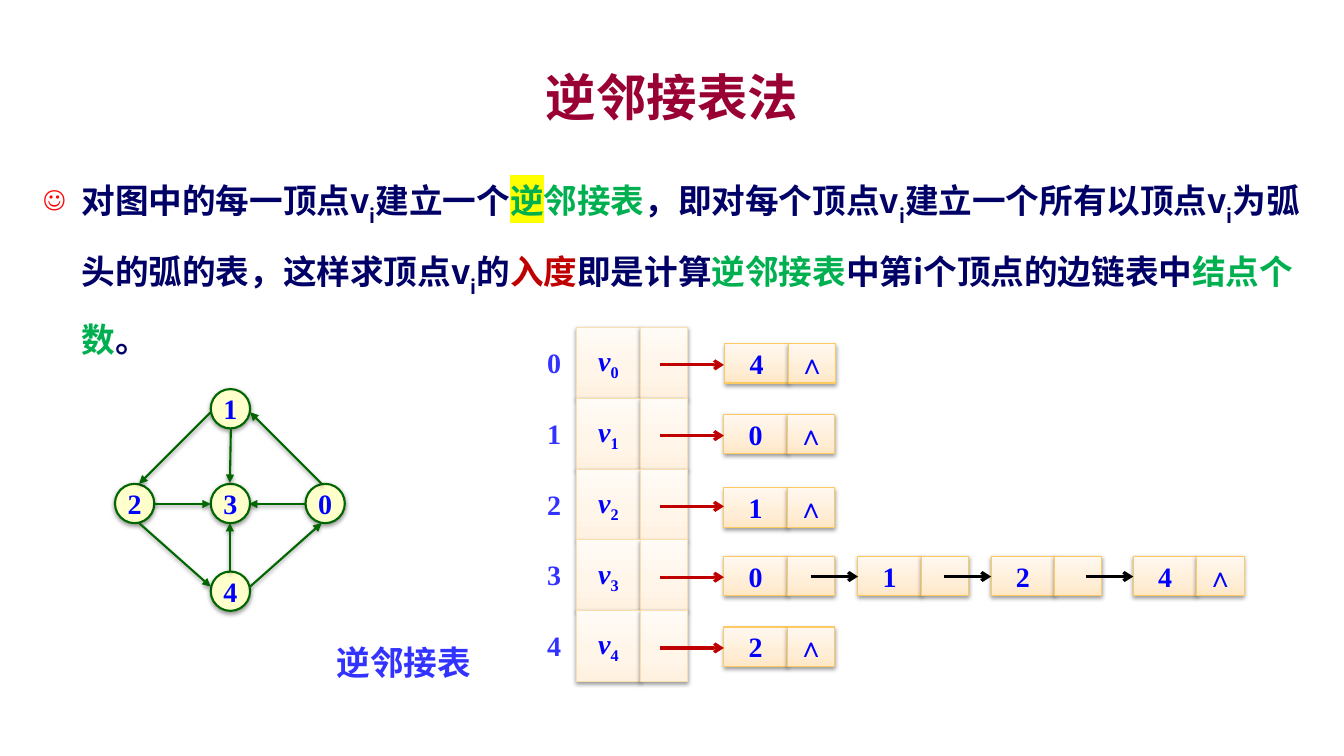
from copy import deepcopy
from dataclasses import dataclass

from lxml import etree
from pptx import Presentation
from pptx.dml.color import RGBColor
from pptx.enum.shapes import MSO_CONNECTOR, MSO_SHAPE
from pptx.enum.text import MSO_ANCHOR, PP_ALIGN
from pptx.oxml.ns import qn
from pptx.util import Inches, Pt

RECT, OVAL = MSO_SHAPE.RECTANGLE, MSO_SHAPE.OVAL
STRAIGHT = MSO_CONNECTOR.STRAIGHT
CENTER, MIDDLE = PP_ALIGN.CENTER, MSO_ANCHOR.MIDDLE
CJK, SERIF = "Noto Sans CJK SC", "Times New Roman"
COLORS = {
    "title": "990033", "body": "000066", "term": "00B050", "degree": "C00000",
    "marker": "FFFF00", "bullet": "FF0000", "label": "3333FF", "value": "0000FF",
    "link": "000000", "edge": "006600", "vertex": "FFFFCC", "shadow": "000000",
    "node_line": "FDC960", "head_line": "FBDDB2",
}
NODE_GRADIENT = ("FFE7C6", "FFEED7", "FFF8F0")
HEAD_GRADIENT = ("FFF1DF", "FFF5E8", "FFFBF6")
GRADIENT_POSITIONS = (0, 0.35, 1)
DATA_W, POINTER_W, NODE_H = 0.63, 0.47, 0.39
HEAD_LEFT, HEAD_TOP, HEAD_H = 5.72, 3.25, 3.51 / 5
VERTEX_SIZE = 0.39


@dataclass
class Piece:
    text: str
    color: str = "body"
    baseline: int = 0
    highlight: str = ""
    italic: bool = False


@dataclass
class Chain:
    top: float
    lefts: tuple
    values: str


@dataclass
class Vertex:
    label: str
    left: float
    top: float


@dataclass
class Edge:
    start: tuple
    end: tuple


SUB_I = Piece("i", baseline=-30)
DEFINITION = [
    Piece("对图中的每一顶点v"), SUB_I, Piece("建立一个"),
    Piece("逆", "term", highlight="marker"), Piece("邻接表", "term"),
    Piece("，即对每个顶点v"), SUB_I, Piece("建立一个所有以顶点v"), SUB_I,
    Piece("为弧头的弧的表，这样求顶点v"), SUB_I, Piece("的"),
    Piece("入度", "degree"), Piece("即是计算"), Piece("逆邻接表", "term"),
    Piece("中第i个顶点的边链表中"), Piece("结点个数", "term"), Piece("。"),
]
CHAINS = [
    Chain(3.41, (7.19,), "4"),
    Chain(4.11, (7.18,), "0"),
    Chain(4.84, (7.18,), "1"),
    Chain(5.52, (7.18, 8.51, 9.83, 11.24), "0124"),
    Chain(6.22, (7.18,), "2"),
]
VERTICES = [
    Vertex("1", 2.09, 3.86), Vertex("3", 2.09, 4.8), Vertex("2", 1.14, 4.8),
    Vertex("0", 3.03, 4.8), Vertex("4", 2.09, 5.67),
]
EDGES = [
    Edge((2.09, 4.09), (1.38, 4.8)), Edge((3.19, 4.8), (2.48, 4.09)),
    Edge((1.53, 5), (2.09, 5)), Edge((3.03, 5), (2.47, 5)),
    Edge((2.29, 4.25), (2.28, 4.79)), Edge((1.38, 5.19), (2.09, 5.82)),
    Edge((2.28, 5.67), (2.28, 5.19)), Edge((2.48, 5.82), (3.19, 5.19)),
]


def rgb(name: str) -> RGBColor:
    return RGBColor.from_string(COLORS[name])


def sub(parent, tag: str, **attributes: str):
    return etree.SubElement(parent, qn(tag), attributes)


def add_pieces(paragraph, pieces: list, size: int, font: str) -> None:
    for piece in pieces:
        run = paragraph.add_run()
        run.text = piece.text
        run.font.size, run.font.bold = Pt(size), True
        run.font.italic = piece.italic
        run.font.name = font
        run.font.color.rgb = rgb(piece.color)
        properties = run.font.color.rgb and run._r.get_or_add_rPr()
        sub(properties, "a:ea", typeface=font)
        if piece.baseline:
            properties.set("baseline", str(piece.baseline * 1000))
        if piece.highlight:
            mark = etree.Element(qn("a:highlight"))
            sub(mark, "a:srgbClr", val=COLORS[piece.highlight])
            properties.find(qn("a:solidFill")).addnext(mark)


def add_soft_shadow(effects) -> None:
    shadow = sub(effects, "a:outerShdw", blurRad=str(Pt(3.1)), dist=str(Pt(1.6)),
                 dir="5400000", rotWithShape="0")
    tint = sub(shadow, "a:srgbClr", val=COLORS["shadow"])
    sub(tint, "a:alpha", val="38000")


def add_cell(group, kind, box: tuple, line: str, weight: float, pieces: list):
    cell = group.shapes.add_shape(kind, *map(Inches, box))
    cell.shadow.inherit = False
    add_soft_shadow(cell._element.spPr.find(qn("a:effectLst")))
    cell.line.color.rgb, cell.line.width = rgb(line), Pt(weight)
    cell.text_frame.word_wrap = False
    cell.text_frame.vertical_anchor = MIDDLE
    paragraph = cell.text_frame.paragraphs[0]
    paragraph.alignment = CENTER
    add_pieces(paragraph, pieces, 20, SERIF)
    return cell


def add_box(group, box: tuple, gradient: tuple, line: str, pieces: list) -> None:
    cell = add_cell(group, RECT, box, line, 0.75, pieces)
    cell.fill.gradient()
    cell.fill.gradient_angle = 90
    stops = cell._element.spPr.find(".//" + qn("a:gsLst"))
    stops.append(deepcopy(stops[-1]))
    for stop, position, color in zip(cell.fill.gradient_stops, GRADIENT_POSITIONS, gradient):
        stop.position = position
        stop.color.rgb = RGBColor.from_string(color)


def add_arrow(group, edge: Edge, color: str, weight: float, head: str, shadow: bool) -> None:
    points = map(Inches, (*edge.start, *edge.end))
    arrow = group.shapes.add_connector(STRAIGHT, *points)
    arrow.line.color.rgb, arrow.line.width = rgb(color), Pt(weight)
    sub(arrow.line._get_or_add_ln(), "a:tailEnd", type=head)
    effects = sub(arrow._element.spPr, "a:effectLst")
    if shadow:
        add_soft_shadow(effects)


def add_text(parent, box: tuple, pieces: list, size: int, font: str):
    frame = parent.shapes.add_textbox(*map(Inches, box)).text_frame
    frame.word_wrap = True
    add_pieces(frame.paragraphs[0], pieces, size, font)
    return frame


def add_definition(slide) -> None:
    frame = add_text(slide, (0.33, 1.5, 12.67, 1.92), DEFINITION, 24, CJK)
    paragraph = frame.paragraphs[0]
    properties = paragraph._p.get_or_add_pPr()
    properties.set("marL", str(Inches(0.38)))
    properties.set("indent", str(Inches(-0.38)))
    sub(sub(properties, "a:buClr"), "a:srgbClr", val=COLORS["bullet"])
    sub(properties, "a:buSzPct", val="80000")
    sub(properties, "a:buChar", char="☺")
    paragraph.line_spacing, paragraph.space_after = 1.5, Pt(6)


def add_inverse_list(slide) -> None:
    group = slide.shapes.add_group_shape()
    # Linked nodes of each vertex
    for chain in CHAINS:
        last = chain.lefts[-1]
        for left, value in zip(chain.lefts, chain.values):
            pointer = [Piece("∧", "value")] if left == last else []
            add_box(group, (left, chain.top, DATA_W, NODE_H), NODE_GRADIENT,
                    "node_line", [Piece(value, "value")])
            add_box(group, (left + DATA_W, chain.top, POINTER_W, NODE_H), NODE_GRADIENT,
                    "node_line", pointer)
        link_y = chain.top + 0.2
        for left in chain.lefts[1:]:
            add_arrow(group, Edge((left - 0.47, link_y), (left, link_y)),
                      "link", 2.25, "arrow", False)
    # Head table with row numbers
    for row in range(len(CHAINS)):
        top = HEAD_TOP + row * HEAD_H
        add_box(group, (HEAD_LEFT, top, DATA_W, HEAD_H), HEAD_GRADIENT, "head_line",
                [Piece("v", "value", italic=True), Piece(str(row), "value", baseline=-25)])
        add_box(group, (HEAD_LEFT + DATA_W, top, POINTER_W, HEAD_H), HEAD_GRADIENT,
                "head_line", [])
        number = add_text(group, (5.3, top + 0.18, 0.39, 0.34),
                          [Piece(str(row), "label")], 20, SERIF)
        number.margin_left = number.margin_right = 0
        number.margin_top = number.margin_bottom = 0
        number.paragraphs[0].alignment = CENTER
        add_arrow(group, Edge((6.55, top + 0.37), (7.18, top + 0.37)),
                  "degree", 2.25, "arrow", False)


def add_graph(slide) -> None:
    group = slide.shapes.add_group_shape()
    for vertex in VERTICES:
        circle = add_cell(group, OVAL, (vertex.left, vertex.top, VERTEX_SIZE, VERTEX_SIZE),
                          "edge", 1.5, [Piece(vertex.label, "value")])
        circle.fill.solid()
        circle.fill.fore_color.rgb = rgb("vertex")
    for edge in EDGES:
        add_arrow(group, edge, "edge", 1.5, "triangle", True)


def main() -> None:
    deck = Presentation()
    deck.slide_width, deck.slide_height = Inches(13.33), Inches(7.5)
    slide = deck.slides.add_slide(deck.slide_layouts[5])
    # Title
    title = slide.shapes.title
    title.left, title.top, title.width, title.height = map(Inches, (1, 0.58, 11.33, 0.75))
    title.text_frame.vertical_anchor = MIDDLE
    heading = title.text_frame.paragraphs[0]
    heading.alignment = CENTER
    add_pieces(heading, [Piece("逆邻接表法", "title")], 36, CJK)
    # Definition, list diagram, caption and graph
    add_definition(slide)
    add_inverse_list(slide)
    add_text(slide, (3.24, 6.32, 1.59, 0.5), [Piece("逆邻接表", "label")], 24, CJK)
    add_graph(slide)
    deck.save("out.pptx")


if __name__ == "__main__":
    main()
